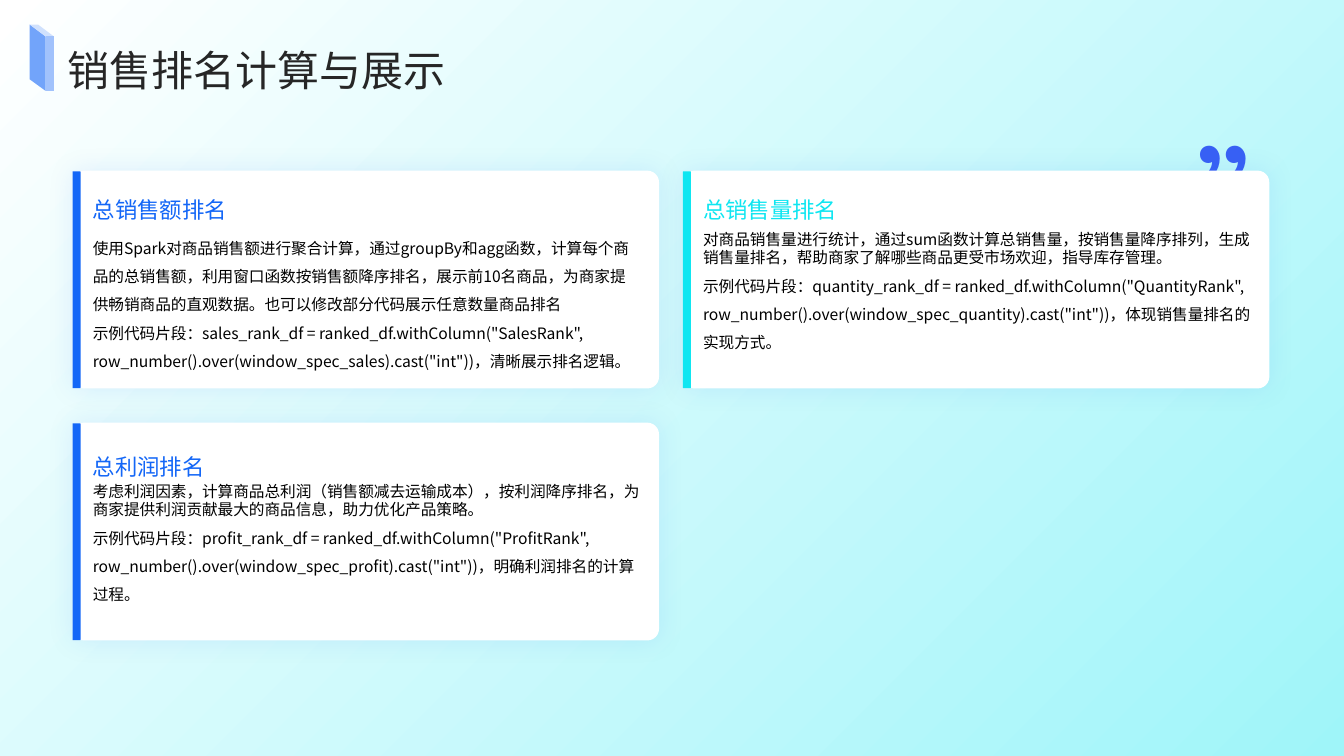
from lxml.etree import SubElement
from pptx import Presentation
from pptx.dml.color import RGBColor
from pptx.enum.shapes import MSO_SHAPE
from pptx.enum.text import MSO_ANCHOR, PP_ALIGN
from pptx.oxml.ns import qn
from pptx.util import Cm, Pt

FONT = "Noto Sans CJK SC"
WHITE = RGBColor(0xFF, 0xFF, 0xFF)
BLACK = RGBColor(0, 0, 0)
INK = RGBColor(0x26, 0x26, 0x26)
BLUE = RGBColor(0x14, 0x67, 0xF7)
CYAN = RGBColor(0x0F, 0xE6, 0xF1)
AQUA = RGBColor(0x9F, 0xF5, 0xF9)
QUOTE_BLUE = RGBColor(0x38, 0x60, 0xF4)

TITLE = "销售排名计算与展示"
# column, row, accent, heading, heading offset, [(paragraph, line spacing)]
CARDS = [
    (1, 0, CYAN, "总销售量排名", 0.41, [
        ("对商品销售量进行统计，通过sum函数计算总销售量，按销售量降序排列，"
         "生成销售量排名，帮助商家了解哪些商品更受市场欢迎，指导库存管理。", 1.0),
        ('示例代码片段：quantity_rank_df = ranked_df.withColumn("QuantityRank", '
         'row_number().over(window_spec_quantity).cast("int"))，体现销售量排名的实现方式。', 1.5)]),
    (0, 1, BLUE, "总利润排名", 0.53, [
        ("考虑利润因素，计算商品总利润（销售额减去运输成本），按利润降序排名，"
         "为商家提供利润贡献最大的商品信息，助力优化产品策略。", 1.0),
        ('示例代码片段：profit_rank_df = ranked_df.withColumn("ProfitRank", '
         'row_number().over(window_spec_profit).cast("int"))，明确利润排名的计算过程。', 1.5)]),
    (0, 0, BLUE, "总销售额排名", 0.41, [
        ("使用Spark对商品销售额进行聚合计算，通过groupBy和agg函数，计算每个商品的总销售额，"
         "利用窗口函数按销售额降序排名，展示前10名商品，为商家提供畅销商品的直观数据。"
         "也可以修改部分代码展示任意数量商品排名", 1.5),
        ('示例代码片段：sales_rank_df = ranked_df.withColumn("SalesRank", '
         'row_number().over(window_spec_sales).cast("int"))，清晰展示排名逻辑。', 1.5)]),
]
# faces of the folded panel beside the title, corners in cm
PANEL_FACES = [
    (RGBColor(0x72, 0xA4, 0xFA), [(0.75, 0.62), (1.15, 0.92), (1.15, 2.29), (0.75, 2.0)]),
    (RGBColor(0xD0, 0xE1, 0xFD), [(0.75, 0.62), (0.96, 0.62), (1.36, 0.92), (1.15, 0.92)]),
    (RGBColor(0xA1, 0xC2, 0xFC), [(1.15, 0.92), (1.36, 0.92), (1.36, 2.29), (1.15, 2.29)]),
]
CARD_LEFT, CARD_TOP, CARD_WIDTH, CARD_HEIGHT = 1.83, 4.3, 14.78, 5.49
COLUMN_STEP, ROW_STEP = 15.38, 6.35
TEXT_INSET, TEXT_WIDTH = 0.51, 13.79

deck = Presentation()
deck.slide_width, deck.slide_height = Cm(33.87), Cm(19.05)
page = deck.slides.add_slide(deck.slide_layouts[6])


def add_text(paragraphs, left, top, width, height, size, color,
             align=PP_ALIGN.LEFT, anchor=MSO_ANCHOR.TOP):
    """Add a text box from (text, line spacing) pairs."""
    box = page.shapes.add_textbox(Cm(left), Cm(top), Cm(width), Cm(height))
    frame = box.text_frame
    frame.word_wrap = True
    frame.vertical_anchor = anchor
    frame.margin_left = frame.margin_right = frame.margin_top = frame.margin_bottom = 0
    for index, (text, spacing) in enumerate(paragraphs):
        para = frame.paragraphs[0] if index == 0 else frame.add_paragraph()
        para.alignment = align
        para.line_spacing = spacing
        span = para.add_run()
        span.text = text
        span.font.size = Pt(size)
        span.font.name = FONT
        span.font.color.rgb = color
        SubElement(span.font._element, qn("a:ea"), typeface=FONT)


def paint(shape, color):
    shape.shadow.inherit = False
    shape.fill.solid()
    shape.fill.fore_color.rgb = color
    shape.line.fill.background()


def add_rounded(left, top, width, height, color):
    shape = page.shapes.add_shape(MSO_SHAPE.ROUNDED_RECTANGLE,
                                  Cm(left), Cm(top), Cm(width), Cm(height))
    shape.adjustments[0] = 0.054
    paint(shape, color)
    return shape


def add_glow(shape):
    """Give a shape a soft, centred blue shadow."""
    effects = shape._element.spPr.find(qn("a:effectLst"))
    shadow = SubElement(effects, qn("a:outerShdw"), blurRad=str(Pt(19)),
                        dist="0", dir="0", algn="ctr", rotWithShape="0")
    tint = SubElement(shadow, qn("a:srgbClr"), val=str(BLUE))
    SubElement(tint, qn("a:alpha"), val="10000")


backdrop = page.shapes.add_shape(MSO_SHAPE.RECTANGLE, 0, 0, deck.slide_width, deck.slide_height)
paint(backdrop, WHITE)
backdrop.fill.gradient()
backdrop.fill.gradient_angle = 315
for stop, position, color in zip(backdrop.fill.gradient_stops, (0, 1), (WHITE, AQUA)):
    stop.position = position
    stop.color.rgb = color

add_text([("”", 1.0)], 30.12, 3.15, 2.7, 1.9, 96, QUOTE_BLUE, align=PP_ALIGN.RIGHT)

for column, row, accent, heading, heading_offset, body in CARDS:
    left = CARD_LEFT + column * COLUMN_STEP
    top = CARD_TOP + row * ROW_STEP
    text_left = left + TEXT_INSET
    add_glow(add_rounded(left, top, CARD_WIDTH, CARD_HEIGHT, WHITE))
    add_rounded(left, top + 0.02, 0.2, 5.46, accent)
    add_text(body, text_left, top + 1.48, TEXT_WIDTH, 3.15, 11.2, BLACK)
    add_text([(heading, 1.5)], text_left, top + heading_offset, TEXT_WIDTH, 0.81, 16, accent,
             anchor=MSO_ANCHOR.MIDDLE)

for color, corners in PANEL_FACES:
    points = [(Cm(x), Cm(y)) for x, y in corners]
    builder = page.shapes.build_freeform(*points[0])
    builder.add_line_segments(points[1:], close=True)
    paint(builder.convert_to_shape(), color)

add_text([(TITLE, 1.1)], 1.7, 0.99, 30.02, 1.27, 30, INK)

deck.save("out.pptx")
